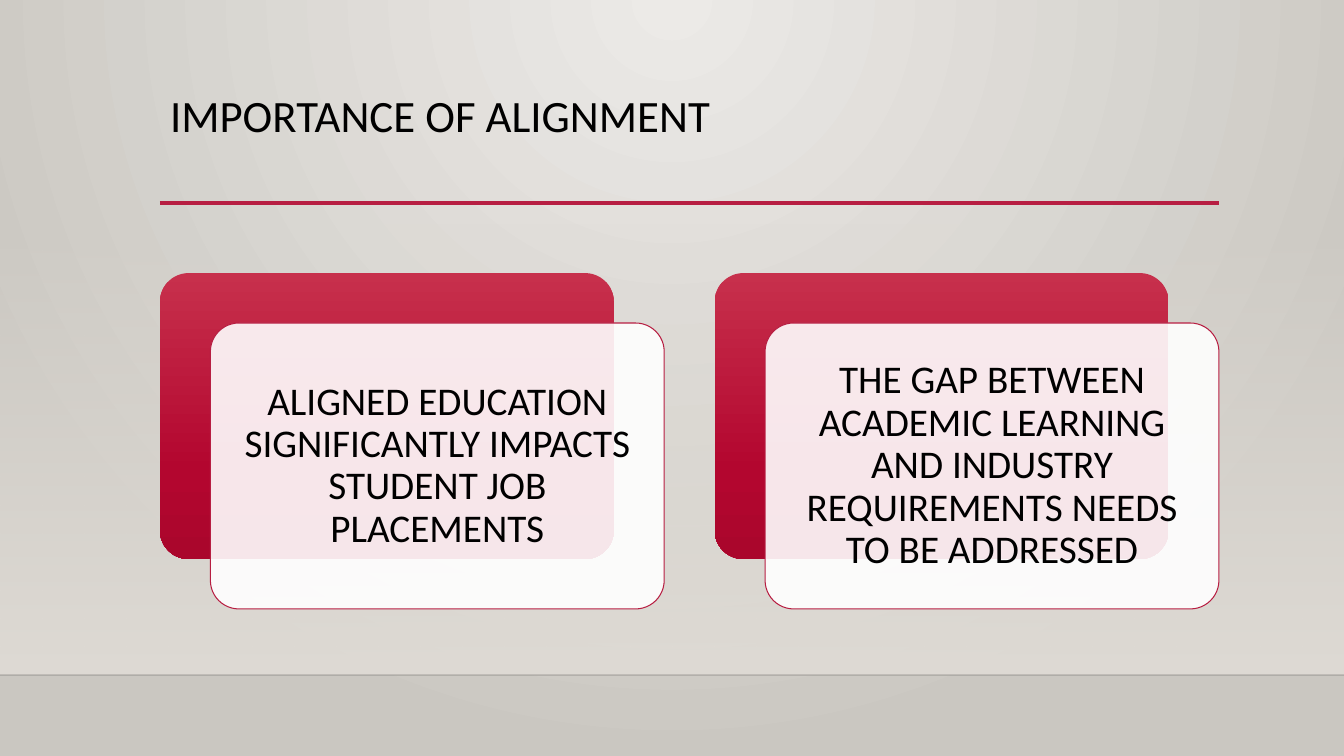
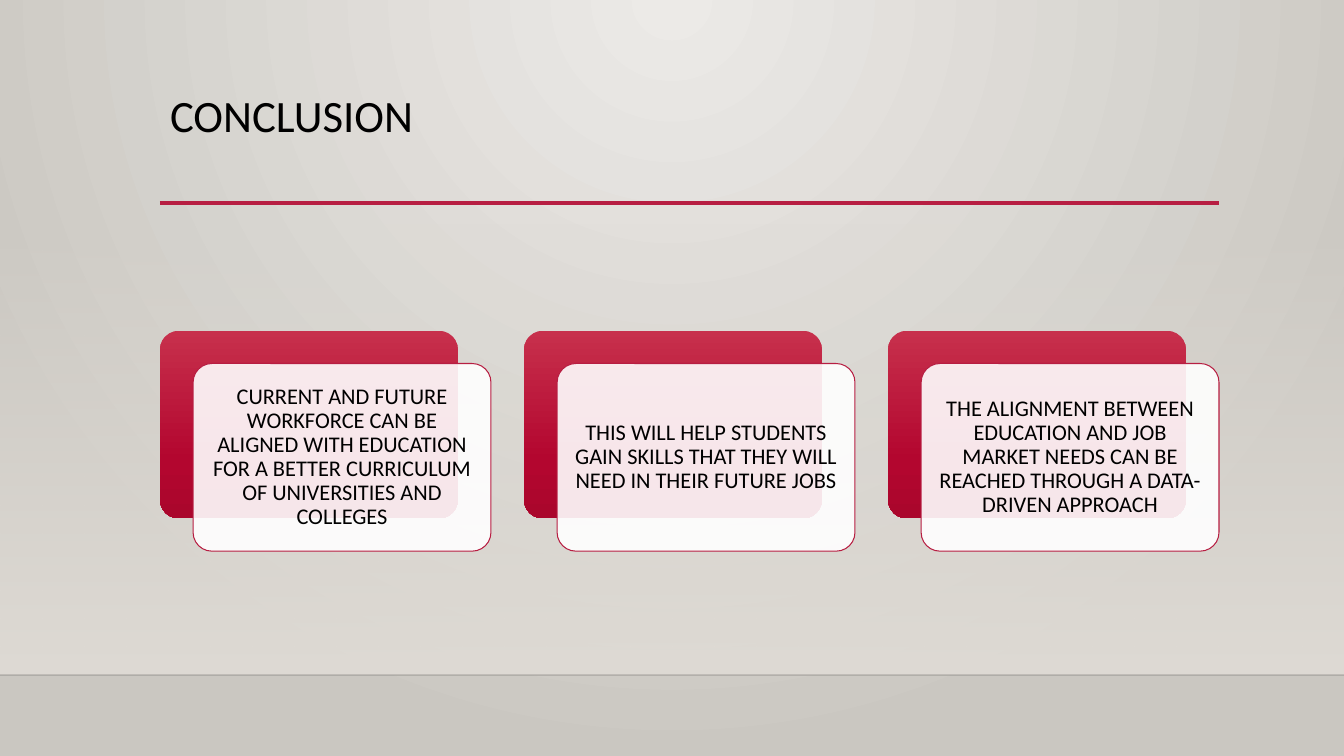
"""Build two slides of overlapping statement cards on a shared studio backdrop."""
from lxml.etree import SubElement
from pptx import Presentation
from pptx.dml.color import RGBColor
from pptx.enum.shapes import MSO_CONNECTOR as CONNECTOR, MSO_SHAPE as SHAPE
from pptx.enum.text import MSO_ANCHOR as ANCHOR, PP_ALIGN as ALIGN
from pptx.oxml.ns import qn
from pptx.util import Emu, Pt

SLIDES = [
    {"title": "IMPORTANCE OF ALIGNMENT", "size": 28, "cards": [
        "ALIGNED EDUCATION SIGNIFICANTLY IMPACTS STUDENT JOB PLACEMENTS",
        "THE GAP BETWEEN ACADEMIC LEARNING AND INDUSTRY REQUIREMENTS NEEDS TO BE ADDRESSED",
    ]},
    {"title": "CONCLUSION", "size": 16, "cards": [
        "CURRENT AND FUTURE WORKFORCE CAN BE ALIGNED WITH EDUCATION FOR A BETTER CURRICULUM "
        "OF UNIVERSITIES AND COLLEGES",
        "THIS WILL HELP STUDENTS GAIN SKILLS THAT THEY WILL NEED IN THEIR FUTURE JOBS",
        "THE ALIGNMENT BETWEEN EDUCATION AND JOB MARKET NEEDS CAN BE REACHED THROUGH "
        "A DATA-DRIVEN APPROACH",
    ]},
]

FONT, BLACK, WHITE, CRIMSON, RULE = "Calibri", "000000", "FFFFFF", "B71E42", "000001"
BACKDROP = [(0, "ECEAE7", 100), (100, "CAC7C1", 100)]
WALL = [(0, "DFDBD5", 0), (100, "DFDBD5", 100)]
CARD_RED = [(0, "C7304C", 100), (69, "B3062F", 100), (100, "AA062C", 100)]

SLIDE_WIDTH, SLIDE_HEIGHT = 1344, 756
LEFT, CONTENT_WIDTH, CARDS_MIDDLE = 160, 1059, 441
TITLE_TOP, TITLE_HEIGHT, TITLE_RULE = 89, 116, 203
WALL_TOP, WALL_BOTTOM = 223, 675
PITCH, SHIFT_X, SHIFT_Y, CARD_RATIO = 11 / 9, 1 / 9, 0.11, 0.63


def px(length):
    return Emu(round(length * 914400 / 100.8))


def color(code):
    return RGBColor.from_string(code)


def add_alpha(color_element, percent):
    SubElement(color_element, qn("a:alpha"), val=str(percent * 1000))


def paint_gradient(owner, fill, stops, radial=False):
    fill.gradient()
    gradient = owner.element.find(".//" + qn("a:gradFill"))
    for child in list(gradient):
        gradient.remove(child)
    stop_list = SubElement(gradient, qn("a:gsLst"))
    for position, code, alpha in stops:
        stop = SubElement(stop_list, qn("a:gs"), pos=str(position * 1000))
        add_alpha(SubElement(stop, qn("a:srgbClr"), val=code), alpha)
    if radial:
        circle = SubElement(gradient, qn("a:path"), path="circle")
        SubElement(circle, qn("a:fillToRect"), l="43000", t="0", r="43000", b="100000")
    else:
        SubElement(gradient, qn("a:lin"), ang="5400000", scaled="0")


def add_box(slide, kind, left, top, width, height):
    shape = slide.shapes.add_shape(kind, px(left), px(top), px(width), px(height))
    shape.shadow.inherit = False
    shape.line.fill.background()
    if kind == SHAPE.ROUNDED_RECTANGLE:
        shape.adjustments[0] = 0.1
    return shape


def add_rule(slide, left, right, y, code, weight, alpha=100):
    rule = slide.shapes.add_connector(CONNECTOR.STRAIGHT, px(left), px(y), px(right), px(y))
    rule.line.color.rgb = color(code)
    rule.line.width = Pt(weight)
    properties = rule.element.spPr
    add_alpha(properties.find(".//" + qn("a:srgbClr")), alpha)
    SubElement(properties, qn("a:effectLst"))


def write_text(shape, text, size, align=ALIGN.LEFT, anchor=ANCHOR.TOP, inset_x=10, inset_y=5):
    frame = shape.text_frame
    frame.word_wrap = True
    frame.vertical_anchor = anchor
    frame.margin_left = frame.margin_right = px(inset_x)
    frame.margin_top = frame.margin_bottom = px(inset_y)
    paragraph = frame.paragraphs[0]
    paragraph.alignment = align
    paragraph.line_spacing = 0.9
    run = paragraph.add_run()
    run.text = text
    run.font.name = FONT
    run.font.size = Pt(size)
    run.font.color.rgb = color(BLACK)


def add_frame(slide, title):
    paint_gradient(slide, slide.background.fill, BACKDROP, radial=True)
    wall = add_box(slide, SHAPE.RECTANGLE, 0, WALL_TOP, SLIDE_WIDTH, WALL_BOTTOM - WALL_TOP)
    paint_gradient(wall, wall.fill, WALL)
    add_rule(slide, 0, SLIDE_WIDTH, WALL_BOTTOM, RULE, 1, alpha=20)
    add_rule(slide, LEFT, LEFT + CONTENT_WIDTH, TITLE_RULE, CRIMSON, 2.5)
    title_box = slide.shapes.add_textbox(
        px(LEFT), px(TITLE_TOP), px(CONTENT_WIDTH), px(TITLE_HEIGHT))
    write_text(title_box, title, 32)


def add_cards(slide, cards, size):
    width = CONTENT_WIDTH / ((len(cards) - 1) * PITCH + 1 + SHIFT_X)
    height = width * CARD_RATIO
    shift_x, shift_y = width * SHIFT_X, width * SHIFT_Y
    top = CARDS_MIDDLE - (height + shift_y) / 2
    inset = round(size * 0.42)
    for index, text in enumerate(cards):
        left = LEFT + index * width * PITCH
        back = add_box(slide, SHAPE.ROUNDED_RECTANGLE, left, top, width, height)
        paint_gradient(back, back.fill, CARD_RED)
        front = add_box(slide, SHAPE.ROUNDED_RECTANGLE,
                        left + shift_x, top + shift_y, width, height)
        front.fill.solid()
        front.fill.fore_color.rgb = color(WHITE)
        add_alpha(front.element.spPr.find(".//" + qn("a:srgbClr")), 90)
        front.line.color.rgb = color(CRIMSON)
        front.line.width = Pt(0.75)
        write_text(front, text, size, ALIGN.CENTER, ANCHOR.MIDDLE, inset, inset)


def main():
    presentation = Presentation()
    presentation.slide_width, presentation.slide_height = px(SLIDE_WIDTH), px(SLIDE_HEIGHT)
    for content in SLIDES:
        slide = presentation.slides.add_slide(presentation.slide_layouts[6])
        add_frame(slide, content["title"])
        add_cards(slide, content["cards"], content["size"])
    presentation.save("out.pptx")


if __name__ == "__main__":
    main()
